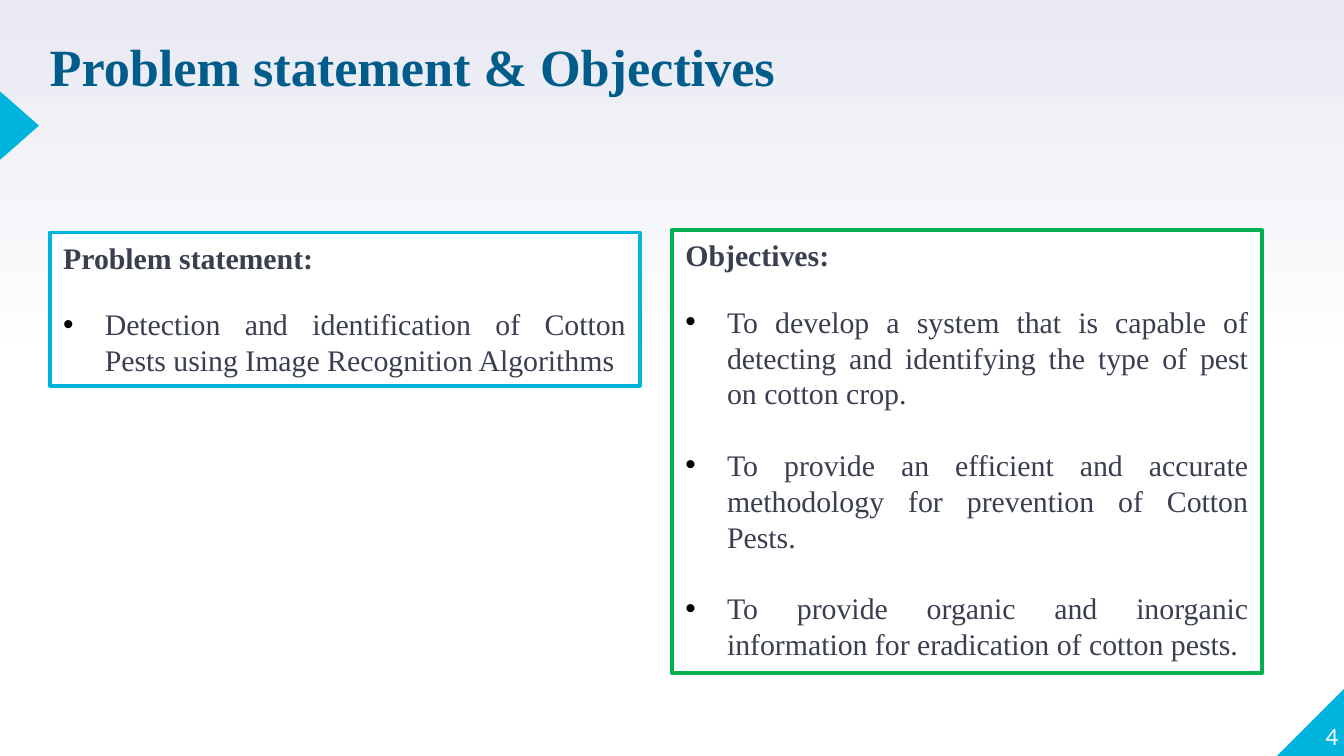
from lxml import etree
from pptx import Presentation
from pptx.dml.color import RGBColor
from pptx.enum.shapes import MSO_SHAPE
from pptx.enum.text import MSO_ANCHOR, MSO_AUTO_SIZE, PP_ALIGN
from pptx.oxml.ns import qn
from pptx.util import Inches, Pt

LEFT, RIGHT, JUSTIFY = PP_ALIGN.LEFT, PP_ALIGN.RIGHT, PP_ALIGN.JUSTIFY
TOP, BOTTOM = MSO_ANCHOR.TOP, MSO_ANCHOR.BOTTOM
NO_FIT = MSO_AUTO_SIZE.NONE
TRIANGLE, CORNER = MSO_SHAPE.ISOSCELES_TRIANGLE, MSO_SHAPE.RIGHT_TRIANGLE
COLORS = {
    "white": "FFFFFF", "haze": "E9EAF2", "accent": "00B5DD",
    "green": "00B050", "heading": "005C8B", "body": "3A3F50", "bullet": "000000",
}
SERIF, SANS = "Times New Roman", "Lato"
WIDTH = 10
HEIGHT = WIDTH * 9 / 16
MARGIN, GUTTER, COLUMN = 0.37, 0.24, 4.39
LINE_PITCH, HEADING_GAP, ITEM_GAP = 19.2, 16.6, 19.2
HANG = Inches(0.31)

PANELS = [
    ("Problem statement:",
     ["Detection and identification of Cotton Pests using Image Recognition Algorithms"],
     "accent", 1.73, 1.14),
    ("Objectives:",
     ["To develop a system that is capable of detecting and identifying the type of pest on cotton crop.",
      "To provide an efficient and accurate methodology for prevention of Cotton Pests.",
      "To provide organic and inorganic information for eradication of cotton pests."],
     "green", 1.71, 3.3),
]


def rgb(name):
    return RGBColor.from_string(COLORS[name])


def place(part, box):
    part.left, part.top, part.width, part.height = map(Inches, box)


def format_text(paragraph, size, font, color, bold=False):
    for run in paragraph.runs:
        run.font.size = Pt(size)
        run.font.name = font
        run.font.bold = bold
        run.font.color.rgb = rgb(color)


def set_frame(frame, anchor):
    frame.word_wrap = True
    frame.auto_size = NO_FIT
    frame.vertical_anchor = anchor


def clear_insets(frame):
    frame.margin_left = frame.margin_right = frame.margin_top = frame.margin_bottom = 0


def set_bullet(paragraph, shown):
    props = paragraph._p.get_or_add_pPr()
    props.set("marL", str(HANG if shown else 0))
    props.set("indent", str(-HANG if shown else 0))
    if not shown:
        etree.SubElement(props, qn("a:buNone"))
        return
    tint = etree.SubElement(props, qn("a:buClr"))
    etree.SubElement(tint, qn("a:srgbClr"), val=COLORS["bullet"])
    etree.SubElement(props, qn("a:buFont"), typeface="Arial")
    etree.SubElement(props, qn("a:buChar"), char="•")


def paint_background(slide):
    fill = slide.background.fill
    fill.gradient()
    fill.gradient_angle = 90
    for stop, position, color in zip(fill.gradient_stops, (0.5, 1), ("white", "haze")):
        stop.position = position
        stop.color.rgb = rgb(color)


def add_marker(slide, preset, box, rotation):
    marker = slide.shapes.add_shape(preset, *map(Inches, box))
    marker.rotation = rotation
    marker.shadow.inherit = False
    marker.fill.solid()
    marker.fill.fore_color.rgb = rgb("accent")
    marker.line.fill.background()


def add_page_number(slide, box, number):
    frame = slide.shapes.add_textbox(*map(Inches, box)).text_frame
    set_frame(frame, BOTTOM)
    clear_insets(frame)
    frame.text = number
    frame.paragraphs[0].alignment = RIGHT
    format_text(frame.paragraphs[0], 12, SANS, "white")


def fill_title(title, box, wording):
    place(title, box)
    frame = title.text_frame
    set_frame(frame, BOTTOM)
    clear_insets(frame)
    frame.text = wording
    paragraph = frame.paragraphs[0]
    paragraph.alignment = LEFT
    paragraph.line_spacing = 0.8
    format_text(paragraph, 28, SERIF, "heading", True)


def fill_panel(panel, box, heading, items, border):
    place(panel, box)
    panel.fill.solid()
    panel.fill.fore_color.rgb = rgb("white")
    panel.line.color.rgb = rgb(border)
    panel.line.width = Pt(2)
    frame = panel.text_frame
    set_frame(frame, TOP)
    frame.text = "\n".join([heading, *items])
    gaps = [0, HEADING_GAP] + [ITEM_GAP] * (len(items) - 1)
    for row, (paragraph, gap) in enumerate(zip(frame.paragraphs, gaps)):
        paragraph.alignment = JUSTIFY
        paragraph.line_spacing = Pt(LINE_PITCH)
        paragraph.space_before = Pt(gap)
        paragraph.space_after = Pt(0)
        set_bullet(paragraph, row > 0)
        format_text(paragraph, 16, SERIF, "body", row == 0)


def main():
    deck = Presentation()
    deck.slide_width, deck.slide_height = Inches(WIDTH), Inches(HEIGHT)
    slide = deck.slides.add_slide(deck.slide_layouts[3])
    title, *bodies = slide.placeholders

    paint_background(slide)
    corner = 0.51
    add_marker(slide, CORNER, (WIDTH - corner + 0.01, HEIGHT - corner, corner, corner), 270)
    add_marker(slide, TRIANGLE, (-0.11, 0.79, corner, 0.29), 90)
    add_page_number(slide, (9.46, 5.07, 0.5, corner), "4")
    fill_title(title, (MARGIN, 0, 7.29, 0.72), "Problem statement & Objectives")
    for column, (body, panel) in enumerate(zip(bodies, PANELS)):
        heading, items, border, top, height = panel
        left = MARGIN + column * (COLUMN + GUTTER)
        fill_panel(body, (left, top, COLUMN, height), heading, items, border)
    deck.save("out.pptx")


if __name__ == "__main__":
    main()
